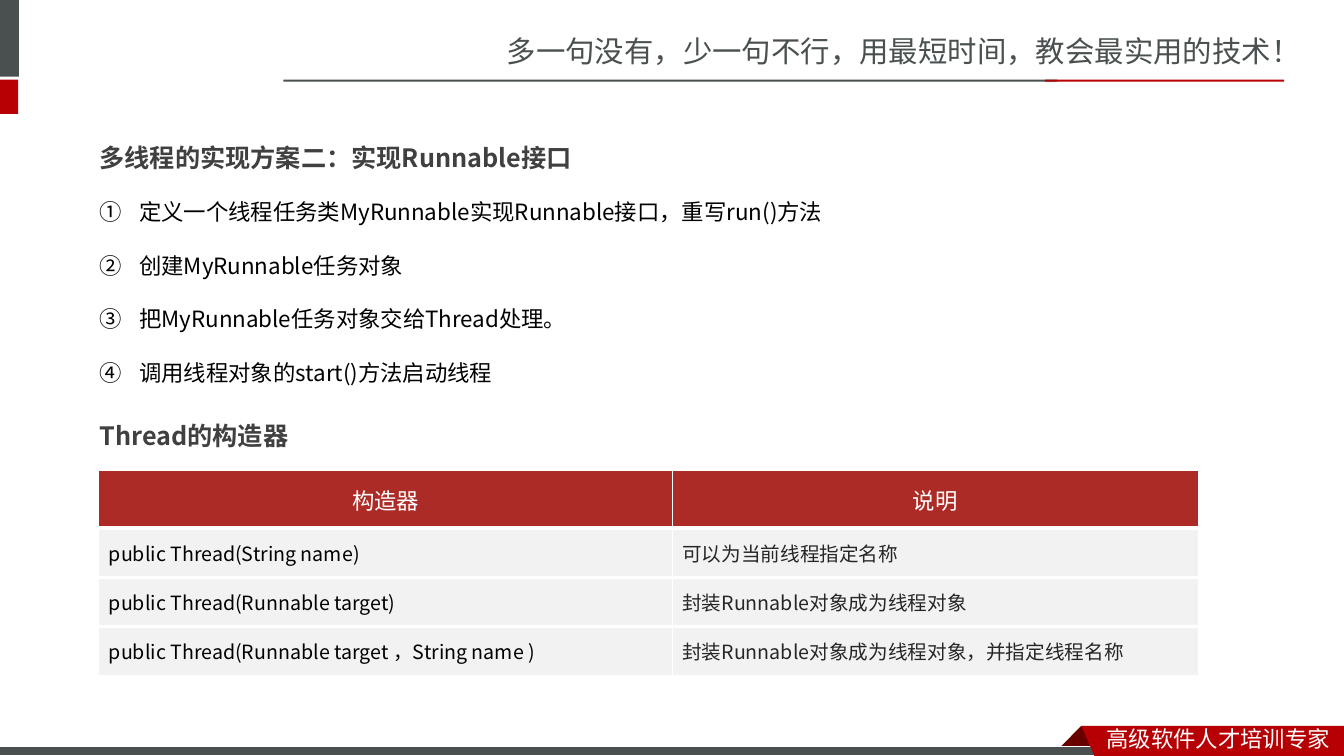
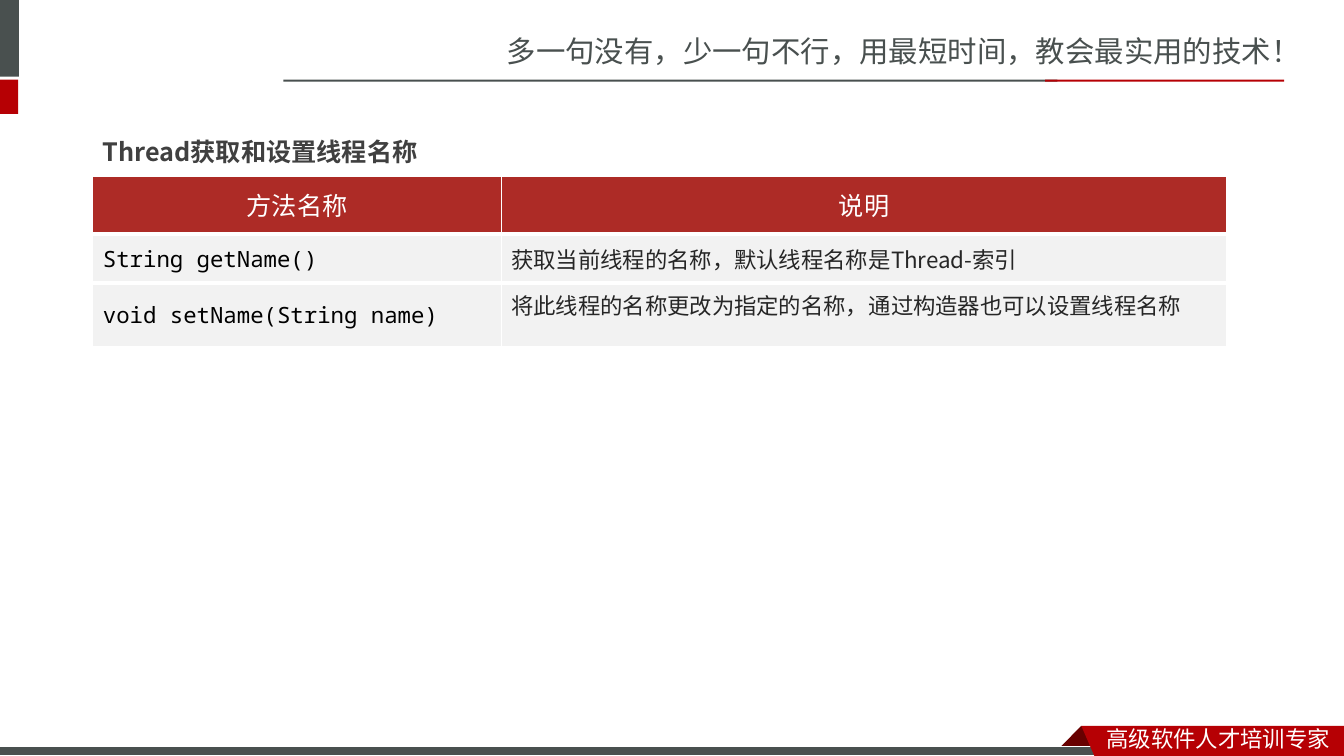
from pptx import Presentation
from pptx.dml.color import RGBColor
from pptx.enum.shapes import MSO_SHAPE
from pptx.enum.text import MSO_ANCHOR, PP_ALIGN
from pptx.oxml.ns import qn
from pptx.util import Cm, Pt
from lxml import etree

RECT = MSO_SHAPE.RECTANGLE
MIDDLE, TOP = MSO_ANCHOR.MIDDLE, MSO_ANCHOR.TOP
CENTER = PP_ALIGN.CENTER

WHITE = RGBColor(0xFF, 0xFF, 0xFF)
BLACK = RGBColor(0x00, 0x00, 0x00)
SLATE = RGBColor(0x49, 0x50, 0x4F)
RED = RGBColor(0xB6, 0x00, 0x04)
DARK_RED = RGBColor(0x68, 0x00, 0x00)
HEADER_RED = RGBColor(0xAD, 0x2B, 0x26)
ROW_GRAY = RGBColor(0xF2, 0xF2, 0xF2)
HEADING = RGBColor(0x40, 0x40, 0x40)
INK = RGBColor(0x26, 0x26, 0x26)

SC = "Noto Sans CJK SC"
JP = "Noto Sans CJK JP"
MONO = "Noto Sans Mono"
ROBOTO = "Roboto"


class Deck:
    def __init__(self):
        self.prs = Presentation()
        self.prs.slide_width = Cm(33.87)
        self.prs.slide_height = Cm(19.05)
        self.s = None

    def new_slide(self):
        self.s = self.prs.slides.add_slide(self.prs.slide_layouts[6])
        self.text((12.52, 0.71, 21.35, 1.19), ["多一句没有，少一句不行，用最短时间，教会最实用的技术！"], 21, SC, SLATE)
        self.rect((0, 0, 0.48, 1.93), SLATE)
        self.rect((0, 2.01, 0.46, 0.86), RED)
        self.rect((7.14, 2.01, 19.51, 0.05), SLATE)
        self.rect((26.34, 2.01, 6.02, 0.05), RED)
        self.outline([(27.25, 18.29), (27.81, 18.85), (27.79, 18.87),
                      (26.72, 18.87), (26.7, 18.85)], DARK_RED)
        self.rect((0, 18.82, 27.91, 0.23), SLATE, WHITE)
        self.outline([(27.25, 18.29), (33.87, 18.29), (33.87, 19.05), (27.58, 19.05)], RED)
        self.text((27.64, 18.16, 6.23, 0.89), ["高级软件人才培训专家"], 16, SC, WHITE)

    def paint(self, sp, fill, line=None):
        sp.shadow.inherit = False
        sp.fill.solid()
        sp.fill.fore_color.rgb = fill
        if line is None:
            sp.line.fill.background()
        else:
            sp.line.color.rgb = line
            sp.line.width = Pt(0.75)

    def rect(self, box, fill, line=None):
        self.paint(self.s.shapes.add_shape(RECT, *map(Cm, box)), fill, line)

    def outline(self, points, fill):
        start, *rest = [(Cm(x), Cm(y)) for x, y in points]
        builder = self.s.shapes.build_freeform(*start)
        builder.add_line_segments(rest, close=True)
        self.paint(builder.convert_to_shape(), fill)

    def style(self, r, size, font, color, bold=False):
        r.font.size = Pt(size)
        r.font.name = font
        r.font.bold = bold
        r.font.color.rgb = color
        latin = r.font._element.find(qn("a:latin"))
        ea = etree.Element(qn("a:ea"), typeface=font)
        latin.addnext(ea)

    def text(self, box, lines, size, font, color, bold=False, spacing=1.0, numbered=False):
        tf = self.s.shapes.add_textbox(*map(Cm, box)).text_frame
        tf.word_wrap = True
        tf.text = "\n".join(lines)
        for p in tf.paragraphs:
            p.line_spacing = spacing
            self.style(p.runs[0], size, font, color, bold)
            if numbered:
                pPr = p._p.get_or_add_pPr()
                pPr.set("marL", str(Cm(1)))
                pPr.set("indent", str(-Cm(1)))
                etree.SubElement(pPr, qn("a:buAutoNum"), type="circleNumDbPlain")

    def heading(self, box, text, font, spacing=1.0):
        self.text(box, [text], 18, font, HEADING, True, spacing)

    def borders(self, cell, top, bottom):
        tcPr = cell._tc.get_or_add_tcPr()
        for side, width in (("L", 1), ("R", 1), ("T", top), ("B", bottom)):
            ln = etree.SubElement(tcPr, qn(f"a:ln{side}"), w=str(Pt(width)))
            fill = etree.SubElement(ln, qn("a:solidFill"))
            etree.SubElement(fill, qn("a:srgbClr"), val=str(WHITE))

    def cell(self, cell, pieces, size, color, fill):
        cell.vertical_anchor = MIDDLE
        cell.fill.solid()
        cell.fill.fore_color.rgb = fill
        p = cell.text_frame.paragraphs[0]
        for text, font in pieces:
            r = p.add_run()
            r.text = text
            self.style(r, size, font, color)
        return p

    def table(self, left, top, widths, heights, rows, head_size, body_size):
        frame = self.s.shapes.add_table(len(rows), len(widths), Cm(left), Cm(top),
                                        Cm(sum(widths)), Cm(sum(heights)))
        table = frame.table
        table.first_row = table.horz_banding = False
        for column, width in zip(table.columns, widths):
            column.width = Cm(width)
        last = len(rows) - 1
        for i, (row, height) in enumerate(zip(rows, heights)):
            table.rows[i].height = Cm(height)
            for j, pieces in enumerate(row):
                cell = table.cell(i, j)
                self.borders(cell, 1 if i == 0 else 3, 1 if i == last else 3)
                if i == 0:
                    p = self.cell(cell, pieces, head_size, WHITE, HEADER_RED)
                    p.alignment = CENTER
                    p.line_spacing = Pt(24)
                else:
                    self.cell(cell, pieces, body_size, INK if j else BLACK, ROW_GRAY)
        return table


def runnable_slide(deck):
    deck.new_slide()
    deck.text((2.26, 4.19, 27.74, 5.54), [
        "定义一个线程任务类MyRunnable实现Runnable接口，重写run()方法",
        "创建MyRunnable任务对象",
        "把MyRunnable任务对象交给Thread处理。",
        "调用线程对象的start()方法启动线程",
    ], 16, JP, BLACK, spacing=2.0, numbered=True)
    deck.heading((2.26, 2.31, 13, 1.88), "多线程的实现方案二：实现Runnable接口", JP, 2.5)
    deck.heading((2.26, 10.46, 16.94, 1.02), "Thread的构造器", JP)
    rows = [
        ("构造器", "说明"),
        ("public Thread(String name)", "可以为当前线程指定名称"),
        ("public Thread(Runnable target)", "封装Runnable对象成为线程对象"),
        ("public Thread(Runnable target ，String name )", "封装Runnable对象成为线程对象，并指定线程名称"),
    ]
    deck.table(2.49, 11.86, [14.45, 13.26], [1.45] + [1.24] * 3,
               [[[(text, JP)] for text in row] for row in rows], 16, 14)


def thread_name_slide(deck):
    deck.new_slide()
    deck.heading((2.34, 2.92, 13, 1.27), "Thread获取和设置线程名称", SC, 1.5)
    rows = [
        [[("方法名称", ROBOTO)], [("说明", ROBOTO)]],
        [[("String getName()", MONO)], [("获取当前线程的名称，默认线程名称是Thread-索引", SC)]],
        [[("void setName(String name)", MONO)],
         [("将此线程的名称更改为指定的名称，", ROBOTO), ("通过构造器也可以设置线程名称", SC)]],
    ]
    table = deck.table(2.34, 4.45, [10.29, 18.29], [1.45, 1.24, 1.6], rows, 18, 16)
    table.cell(2, 1).vertical_anchor = TOP


def main():
    deck = Deck()
    runnable_slide(deck)
    thread_name_slide(deck)
    deck.prs.save("out.pptx")


if __name__ == "__main__":
    main()
